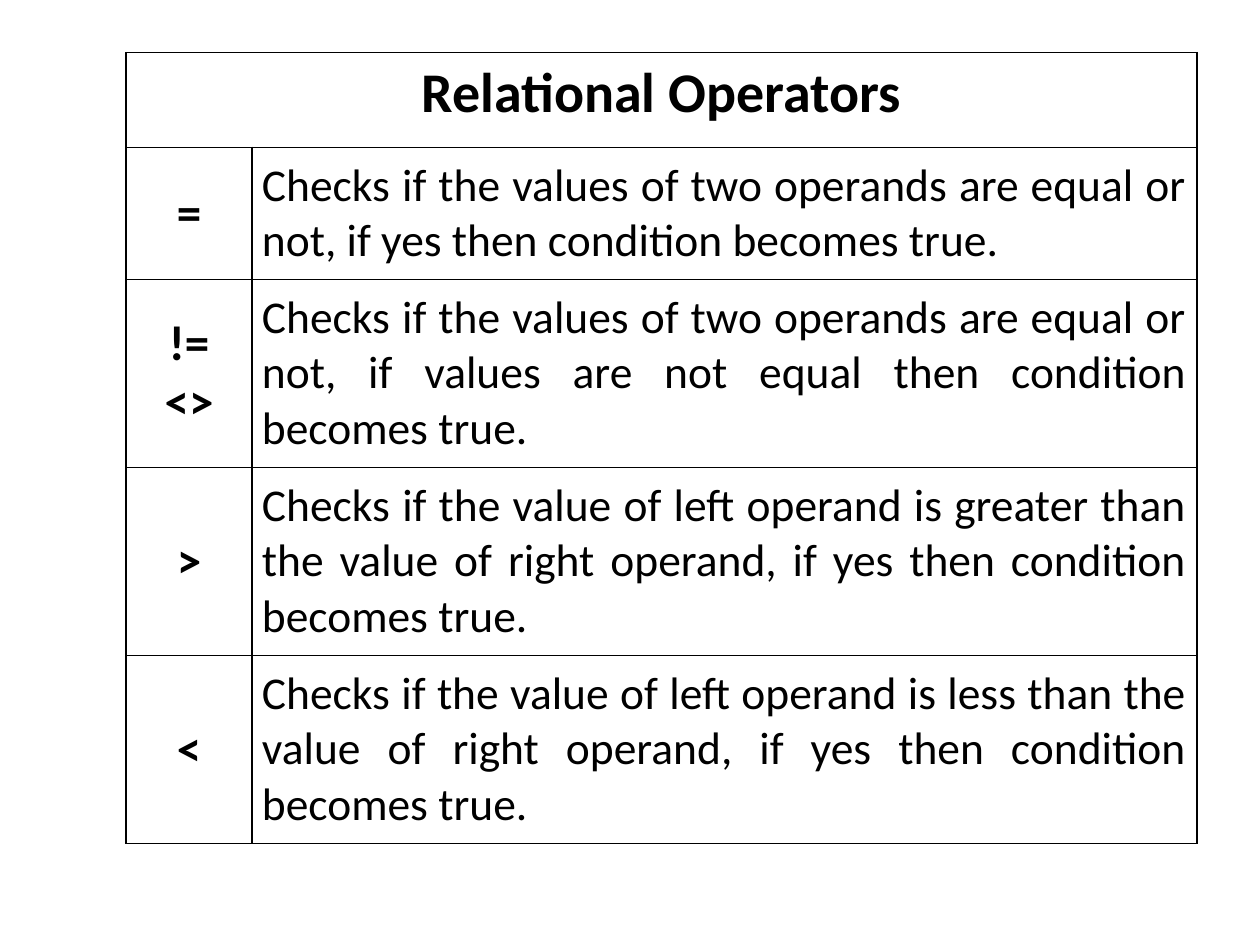
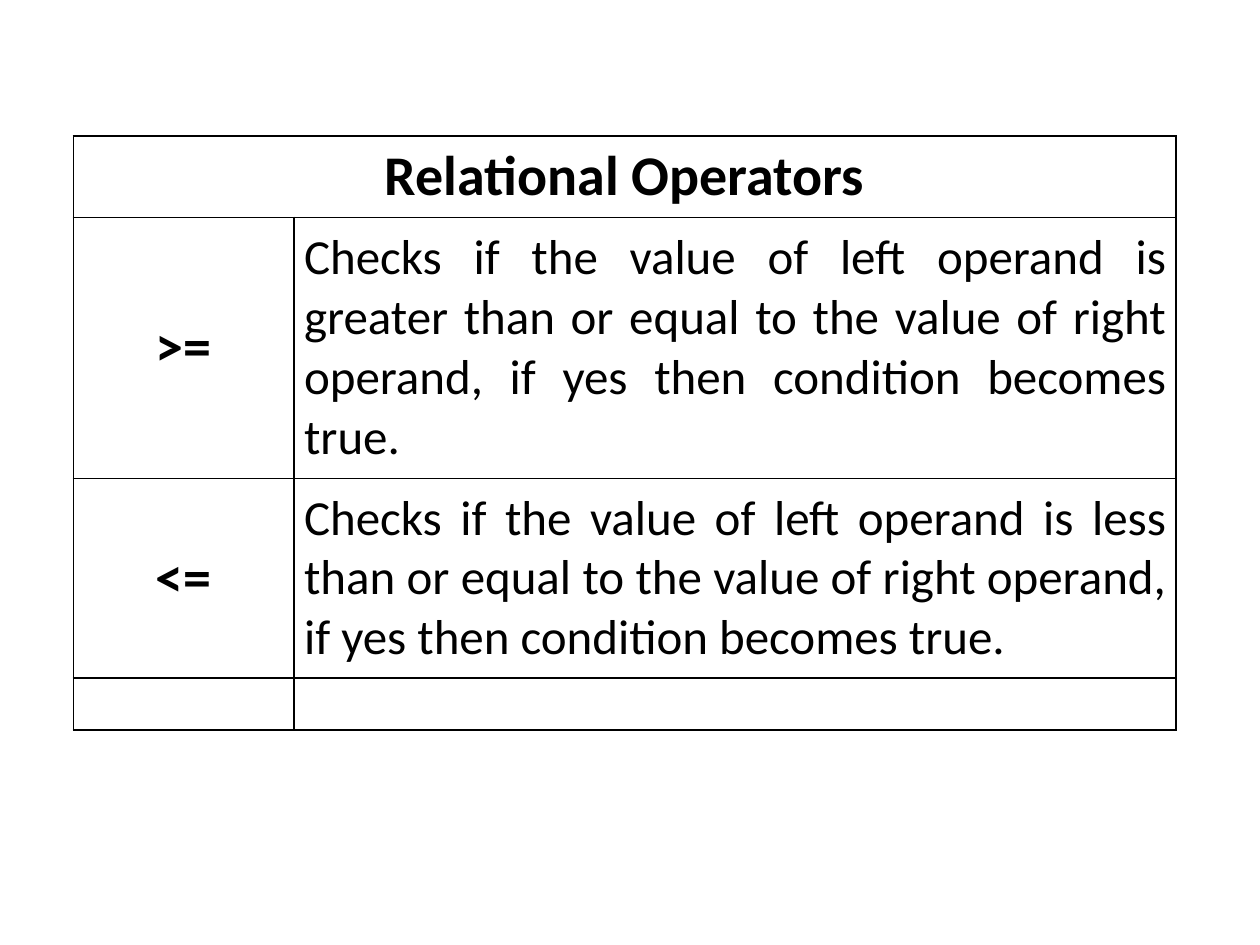
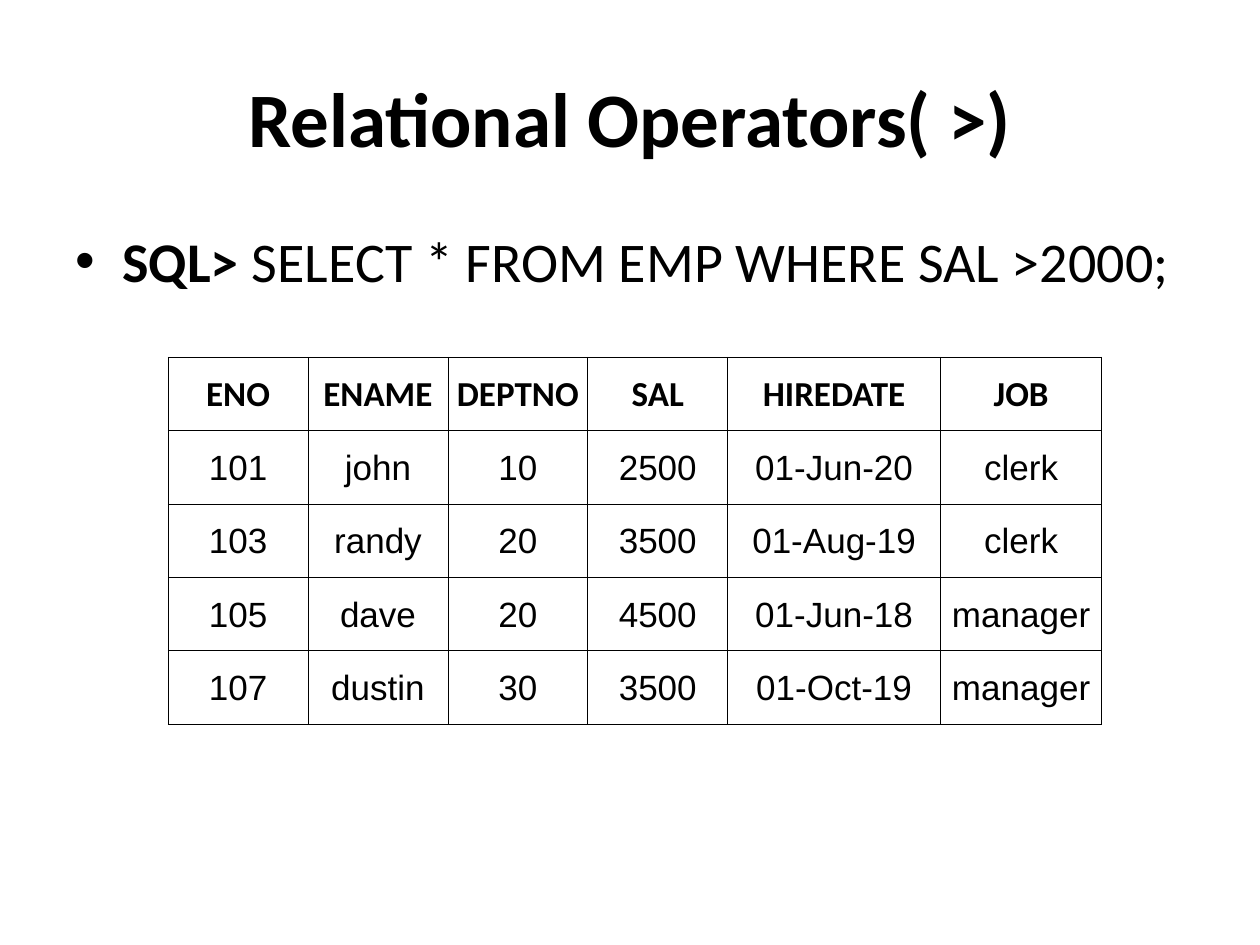
from dataclasses import dataclass

from lxml import etree
from pptx import Presentation
from pptx.dml.color import RGBColor
from pptx.enum.text import MSO_ANCHOR, PP_ALIGN
from pptx.oxml.ns import qn
from pptx.util import Cm, Pt

CENTER, JUSTIFY, LEFT = PP_ALIGN.CENTER, PP_ALIGN.JUSTIFY, PP_ALIGN.LEFT
TOP, MIDDLE = MSO_ANCHOR.TOP, MSO_ANCHOR.MIDDLE
TITLE_ONLY, BLANK = 5, 6
BLACK = "000000"
HEADING = "Relational Operators"


@dataclass(frozen=True)
class CellStyle:
    size: float
    bold: bool = False
    font: str = "Calibri"
    align: PP_ALIGN = CENTER
    anchor: MSO_ANCHOR = MIDDLE
    margins: tuple = (0.2, 0.2, 0.2, 0.2)  # left, top, right, bottom in cm


@dataclass(frozen=True)
class Grid:
    """Place and measures of a table in cm, with its border width in points."""
    left: float
    top: float
    cols: tuple
    rows: tuple
    border: float


@dataclass(frozen=True)
class OperatorSlide:
    grid: Grid
    symbol_size: float
    text_size: float
    rules: tuple  # (operator symbols, description)


HEADING_STYLE = CellStyle(32, True, anchor=TOP, margins=(0.25, 0.13, 0.25, 0.13))
TIGHT = (0.03, 0.03, 0.03, 0)
COLUMN_STYLE = CellStyle(20, True, margins=TIGHT)
RECORD_STYLE = CellStyle(20, font="Arial", margins=TIGHT)

OPERATOR_SLIDES = (
    OperatorSlide(
        Grid(2.54, 1.06, (2.54, 19.05), (1.91, 2.66, 3.79, 3.79, 3.79), 1), 28, 26,
        (
            ("=", "Checks if the values of two operands are equal or not, "
                  "if yes then condition becomes true."),
            ("!=\n<>", "Checks if the values of two operands are equal or not, "
                       "if values are not equal then condition becomes true."),
            (">", "Checks if the value of left operand is greater than the value "
                  "of right operand, if yes then condition becomes true."),
            ("<", "Checks if the value of left operand is less than the value "
                  "of right operand, if yes then condition becomes true."),
        ),
    ),
    OperatorSlide(
        Grid(1.48, 2.74, (4.45, 17.78), (1.63, 5.26, 4.03, 1.04), 1), 32, 28,
        (
            (">=", "Checks if the value of left operand is greater than or equal to "
                   "the value of right operand, if yes then condition becomes true."),
            ("<=", "Checks if the value of left operand is less than or equal to "
                   "the value of right operand, if yes then condition becomes true."),
        ),
    ),
)

EMPLOYEES = (
    ("ENO", "ENAME", "DEPTNO", "SAL", "HIREDATE", "JOB"),
    ("101", "john", "10", "2500", "01-Jun-20", "clerk"),
    ("103", "randy", "20", "3500", "01-Aug-19", "clerk"),
    ("105", "dave", "20", "4500", "01-Jun-18", "manager"),
    ("107", "dustin", "30", "3500", "01-Oct-19", "manager"),
)
EMPLOYEE_GRID = Grid(3.39, 7.2, (2.82,) * 4 + (4.29, 3.25), (1.48,) * len(EMPLOYEES), 0.5)


def rgb(color: str) -> RGBColor:
    return RGBColor.from_string(color)


def add_run(p, text: str, size: float, bold: bool = False, font: str = "Calibri") -> None:
    r = p.add_run()
    r.text = text
    r.font.name = font
    r.font.size = Pt(size)
    r.font.bold = bold
    r.font.color.rgb = rgb(BLACK)


def set_borders(cell, width: float) -> None:
    tc_pr = cell._tc.get_or_add_tcPr()
    for side in ("a:lnL", "a:lnR", "a:lnT", "a:lnB"):
        line = etree.SubElement(tc_pr, qn(side), w=str(Pt(width)))
        fill = etree.SubElement(line, qn("a:solidFill"))
        etree.SubElement(fill, qn("a:srgbClr"), val=BLACK)


def add_grid(slide, grid: Grid):
    """Add an unfilled table with black borders."""
    frame = slide.shapes.add_table(
        len(grid.rows), len(grid.cols), Cm(grid.left), Cm(grid.top),
        Cm(sum(grid.cols)), Cm(sum(grid.rows)))
    table = frame.table
    table.first_row = table.horz_banding = False
    for column, width in zip(table.columns, grid.cols):
        column.width = Cm(width)
    for row, height in zip(table.rows, grid.rows):
        row.height = Cm(height)
    for cell in table.iter_cells():
        set_borders(cell, grid.border)
        cell.fill.background()
    return table


def write_cell(cell, text: str, style: CellStyle) -> None:
    cell.vertical_anchor = style.anchor
    (cell.margin_left, cell.margin_top,
     cell.margin_right, cell.margin_bottom) = map(Cm, style.margins)
    tf = cell.text_frame
    for i, line in enumerate(text.split("\n")):
        p = tf.add_paragraph() if i else tf.paragraphs[0]
        p.alignment = style.align
        add_run(p, line, style.size, style.bold, style.font)


def add_operator_slide(prs, content: OperatorSlide) -> None:
    s = prs.slides.add_slide(prs.slide_layouts[BLANK])
    table = add_grid(s, content.grid)
    table.cell(0, 0).merge(table.cell(0, 1))
    write_cell(table.cell(0, 0), HEADING, HEADING_STYLE)
    symbol_style = CellStyle(content.symbol_size, True)
    text_style = CellStyle(content.text_size, align=JUSTIFY)
    for row, (symbols, description) in enumerate(content.rules, start=1):
        write_cell(table.cell(row, 0), symbols, symbol_style)
        write_cell(table.cell(row, 1), description, text_style)


def add_bullet(p) -> None:
    p_pr = p._p.get_or_add_pPr()
    p_pr.set("marL", str(Cm(0.95)))
    p_pr.set("indent", str(Cm(-0.95)))
    etree.SubElement(p_pr, qn("a:buFont"), typeface="Arial")
    etree.SubElement(p_pr, qn("a:buChar"), char="•")


def add_query_slide(prs) -> None:
    s = prs.slides.add_slide(prs.slide_layouts[TITLE_ONLY])
    title = s.shapes.title
    title.left, title.top, title.width, title.height = map(Cm, (1.27, 0.76, 22.86, 3.18))
    title.text_frame.vertical_anchor = MIDDLE
    p = title.text_frame.paragraphs[0]
    p.alignment = CENTER
    add_run(p, HEADING + "( >)", 44, True)

    query = s.shapes.add_textbox(Cm(1.27), Cm(4.45), Cm(22.86), Cm(12.57))
    tf = query.text_frame
    tf.word_wrap = True
    p = tf.paragraphs[0]
    p.alignment = LEFT
    p.space_before = Pt(6.4)
    add_bullet(p)
    add_run(p, "SQL> ", 32, True)
    add_run(p, "SELECT * FROM EMP WHERE SAL >2000;", 32)

    table = add_grid(s, EMPLOYEE_GRID)
    for row, record in enumerate(EMPLOYEES):
        for col, value in enumerate(record):
            write_cell(table.cell(row, col), value, RECORD_STYLE if row else COLUMN_STYLE)


def main() -> None:
    prs = Presentation()
    prs.slide_width, prs.slide_height = Cm(25.4), Cm(19.05)
    for content in OPERATOR_SLIDES:
        add_operator_slide(prs, content)
    add_query_slide(prs)
    prs.save("out.pptx")


if __name__ == "__main__":
    main()
